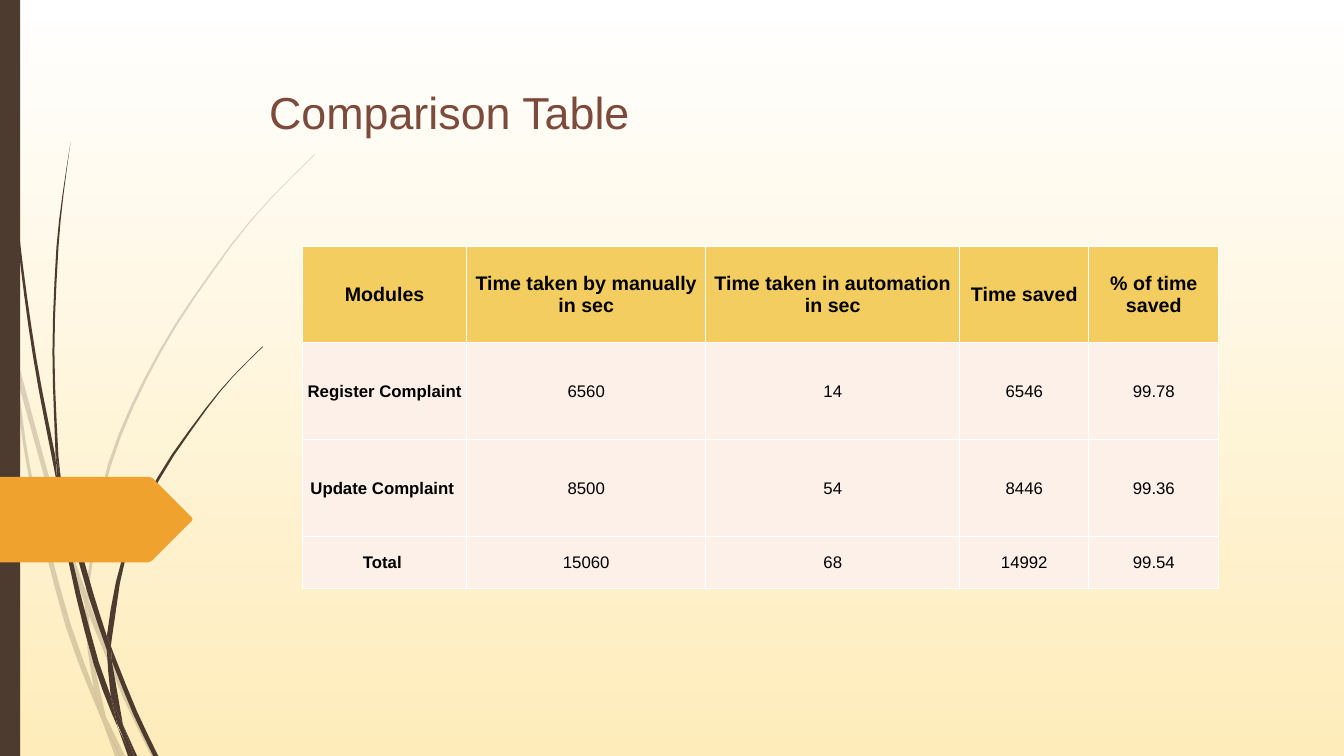
from dataclasses import dataclass
from math import ceil, dist

from lxml.etree import SubElement
from pptx import Presentation
from pptx.dml.color import RGBColor
from pptx.enum.shapes import MSO_SHAPE
from pptx.enum.text import MSO_ANCHOR, PP_ALIGN
from pptx.oxml.ns import qn
from pptx.util import Emu, Inches, Pt

# The slide is a grid of fine square cells; every length is in columns or rows.
COLUMNS, ROWS = 1333, 750
CELL = Inches(0.01)
FONT = "Arial"
BROWN, ORANGE, GOLD, CREAM = "4E3B30", "F0A22E", "F3CD60", "FCF0E8"
TITLE_BROWN, BLACK, WHITE, PALE_YELLOW = "7C4B3B", "000000", "FFFFFF", "FEECBA"
CURVE_STEP = 40

Point = tuple[float, float]


@dataclass(frozen=True)
class Blade:
    """A piece of grass: one edge out, the other edge back."""
    out: list[Point]
    back: list[Point]


@dataclass(frozen=True)
class Column:
    width: int
    cells: list[str]


FAINT_BLADES = [
    Blade([(11, 350), (9, 322), (0, 282)], [(0, 299), (10, 344)]),
    Blade([(84, 599), (58, 522), (17, 376)], [(14, 345), (62, 520), (85, 586)]),
    Blade([(88, 610), (123, 694), (150, 750)], [(155, 750), (127, 692), (92, 607), (88, 596)]),
    Blade([(119, 750), (105, 711)], [(124, 750)]),
    Blade([(101, 714), (93, 683), (70, 619), (31, 469), (17, 376), (11, 350)],
          [(11, 350), (28, 470), (65, 621), (92, 693), (101, 714)]),
    Blade([(84, 599), (87, 646), (93, 683), (96, 692), (105, 711)],
          [(105, 711), (91, 646), (88, 610)]),
    Blade([(88, 596), (88, 584), (110, 462), (160, 349), (229, 245), (268, 198), (312, 154)],
          [(312, 153), (268, 197), (228, 244), (158, 348), (107, 461), (85, 584)]),
    Blade([(101, 714), (114, 750)], [(119, 750)]),
    Blade([(88, 608), (88, 596)], [(85, 586), (84, 599)]),
    Blade([(93, 683), (99, 707), (101, 714), (119, 750)], [(105, 711), (96, 692)]),
]
DARK_BLADES = [
    Blade([(3, 0), (4, 48), (7, 110), (17, 233), (33, 355), (56, 477), (57, 481)],
          [(55, 453), (36, 355), (19, 232), (8, 109), (5, 48), (4, 0)]),
    Blade([(106, 645), (88, 592), (64, 505)], [(60, 472), (93, 590), (106, 631)]),
    Blade([(111, 656), (132, 708), (152, 750)], [(157, 750), (136, 706), (113, 649), (110, 641)]),
    Blade([(117, 722), (110, 691), (98, 657), (72, 556), (64, 505), (57, 477)],
          [(57, 477), (68, 557), (93, 659), (111, 708), (117, 722)]),
    Blade([(60, 472), (58, 453), (54, 349), (58, 245), (63, 193), (70, 141)],
          [(70, 141), (62, 193), (56, 245), (52, 349), (55, 449)]),
    Blade([(133, 750), (122, 719)], [(136, 750)]),
    Blade([(64, 505), (57, 477), (55, 449)], [(60, 472)]),
    Blade([(111, 633), (125, 552), (158, 476), (205, 406), (231, 374), (261, 344)],
          [(260, 344), (231, 373), (204, 405), (156, 474), (122, 551), (106, 631), (110, 641)]),
    Blade([(117, 722), (127, 750)], [(131, 750)]),
    Blade([(106, 645), (110, 691), (116, 706), (122, 719)], [(111, 656)]),
    Blade([(106, 645), (111, 656)], [(110, 641), (106, 631)]),
    Blade([(110, 691), (116, 717), (130, 750)], [(133, 750), (122, 719), (116, 706)]),
]
ARROW_OUTLINE = [(0, 473), (147, 473), (151, 474), (190, 513), (191, 515),
                 (190, 517), (151, 556), (147, 558), (0, 558)]

TABLE_COLUMNS = [
    Column(163, ["Modules", "Register Complaint", "Update Complaint ", "Total "]),
    Column(237, ["Time taken by manually in sec", "6560", "8500", "15060"]),
    Column(252, ["Time taken in automation in sec", "14", "54", "68"]),
    Column(128, ["Time saved", "6546", "8446", "14992"]),
    Column(129, ["% of time saved", "99.78", "99.36", "99.54"]),
]
TABLE_ROWS = [96, 96, 96, 52]


def cells(count: float) -> Emu:
    return Emu(round(count * CELL))


def color(value: str) -> RGBColor:
    return RGBColor.from_string(value)


def smooth(points: list[Point]) -> list[Point]:
    """Run a Hermite curve through the points, with slopes taken by chord length."""
    last = len(points) - 1
    if last < 2:
        return points
    slopes = []
    for index, point in enumerate(points):
        before, after = points[max(index - 1, 0)], points[min(index + 1, last)]
        length = dist(before, point) + dist(point, after)
        slopes.append([(b - a) / length for a, b in zip(before, after)])
    curve = [points[0]]
    for index in range(last):
        start, end = points[index], points[index + 1]
        chord = dist(start, end)
        steps = ceil(chord / CURVE_STEP)
        for step in range(1, steps + 1):
            t = step / steps
            rise = t * t * (3 - 2 * t)
            leave, arrive = chord * t * (1 - t) ** 2, chord * t * t * (t - 1)
            curve.append(tuple(
                start[axis] + rise * (end[axis] - start[axis])
                + leave * slopes[index][axis] + arrive * slopes[index + 1][axis]
                for axis in (0, 1)))
    return curve


def paint(shape, fill: str, opacity: int = 100) -> None:
    shape.shadow.inherit = False
    shape.line.fill.background()
    shape.fill.solid()
    shape.fill.fore_color.rgb = color(fill)
    if opacity < 100:
        rgb = shape._element.spPr.find(".//" + qn("a:srgbClr"))
        SubElement(rgb, qn("a:alpha"), val=str(opacity * 1000))


def add_outline(slide, points: list[Point], fill: str, opacity: int = 100) -> None:
    corners = [(cells(x), cells(y)) for x, y in points]
    builder = slide.shapes.build_freeform(*corners[0])
    builder.add_line_segments(corners[1:], close=True)
    paint(builder.convert_to_shape(), fill, opacity)


def style_paragraph(paragraph, size: int, text_color: str, bold: bool = False) -> None:
    font = paragraph.font
    font.name, font.size, font.bold = FONT, Pt(size), bold
    font.color.rgb = color(text_color)


def add_borders(cell) -> None:
    properties = cell._tc.get_or_add_tcPr()
    for position, side in enumerate(("lnL", "lnR", "lnT", "lnB")):
        line = properties.makeelement(qn(f"a:{side}"), {"w": str(Pt(1))})
        fill = SubElement(line, qn("a:solidFill"))
        SubElement(fill, qn("a:srgbClr"), val=WHITE)
        properties.insert(position, line)


def add_title(slide) -> None:
    box = slide.shapes.add_textbox(cells(257), cells(33), cells(975), cells(109))
    frame = box.text_frame
    frame.word_wrap = True
    frame.vertical_anchor = MSO_ANCHOR.BOTTOM
    frame.text = "Comparison Table"
    style_paragraph(frame.paragraphs[0], 32, TITLE_BROWN)


def add_comparison_table(slide) -> None:
    width = sum(column.width for column in TABLE_COLUMNS)
    table = slide.shapes.add_table(
        len(TABLE_ROWS), len(TABLE_COLUMNS),
        cells(300), cells(244), cells(width), cells(sum(TABLE_ROWS))).table
    table.first_row = table.horz_banding = False
    for row, height in enumerate(TABLE_ROWS):
        table.rows[row].height = cells(height)
    for index, column in enumerate(TABLE_COLUMNS):
        table.columns[index].width = cells(column.width)
        for row, text in enumerate(column.cells):
            header = row == 0
            cell = table.cell(row, index)
            cell.text = text
            cell.vertical_anchor = MSO_ANCHOR.MIDDLE
            cell.margin_left = cell.margin_right = cell.margin_top = cells(1)
            cell.margin_bottom = 0
            cell.fill.solid()
            cell.fill.fore_color.rgb = color(GOLD if header else CREAM)
            add_borders(cell)
            paragraph = cell.text_frame.paragraphs[0]
            paragraph.alignment = PP_ALIGN.CENTER
            style_paragraph(paragraph, 14 if header else 12, BLACK, header or index == 0)


def main() -> None:
    presentation = Presentation()
    presentation.slide_width, presentation.slide_height = cells(COLUMNS), cells(ROWS)
    slide = presentation.slides.add_slide(presentation.slide_layouts[6])

    background = slide.background.fill
    background.gradient()
    background.gradient_angle = 270
    for stop, position, shade in zip(background.gradient_stops, (0, 1), (WHITE, PALE_YELLOW)):
        stop.position, stop.color.rgb = position, color(shade)

    for blades, opacity in ((FAINT_BLADES, 20), (DARK_BLADES, 100)):
        for blade in blades:
            add_outline(slide, smooth(blade.out) + smooth(blade.back), BROWN, opacity)
    side_bar = slide.shapes.add_shape(MSO_SHAPE.RECTANGLE, 0, 0, cells(20), cells(ROWS))
    paint(side_bar, BROWN)
    add_outline(slide, ARROW_OUTLINE, ORANGE)
    add_title(slide)
    add_comparison_table(slide)
    presentation.save("out.pptx")


if __name__ == "__main__":
    main()
